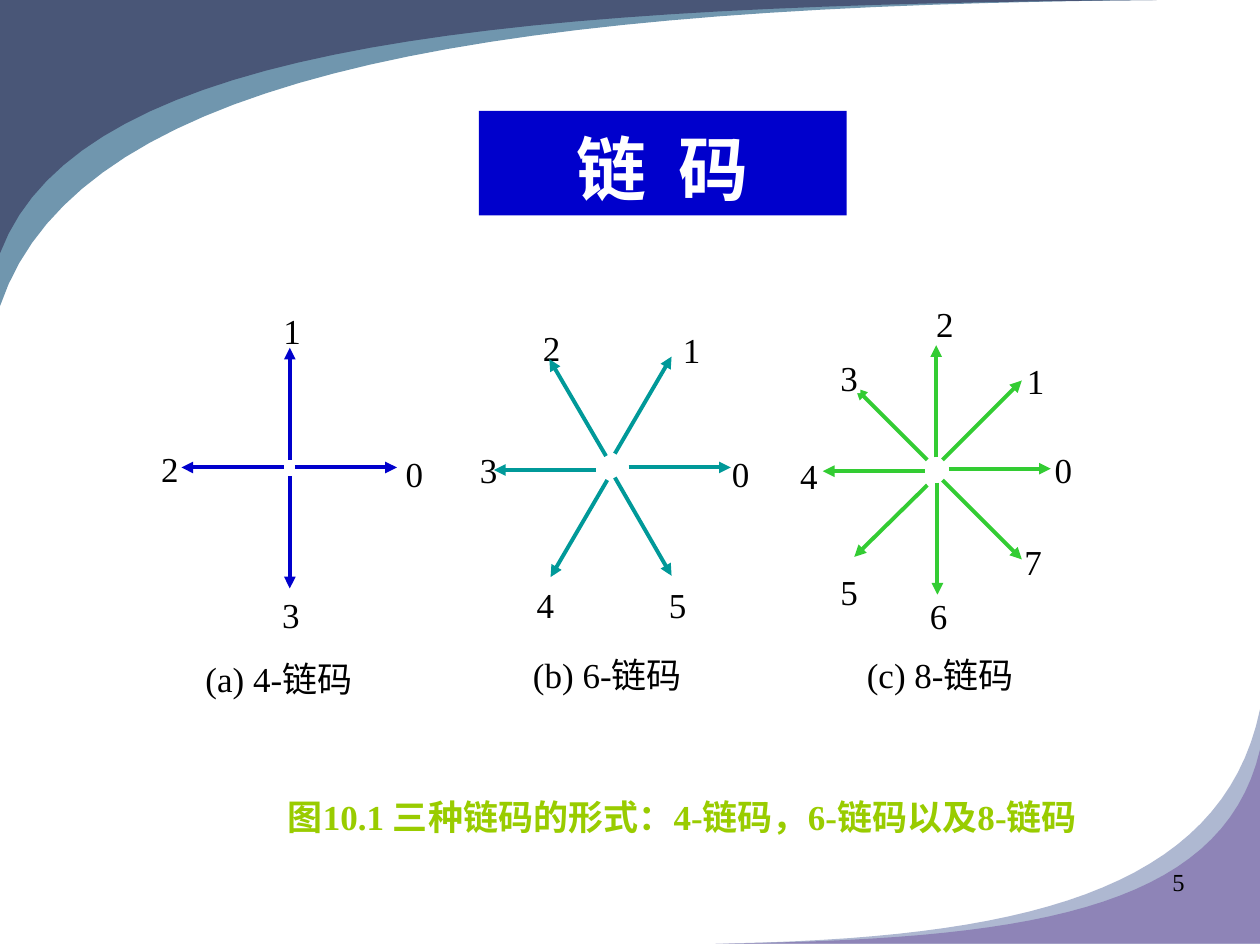
"""Build the chain code slide with its 4-, 6- and 8-direction diagrams."""
from lxml import etree
from pptx import Presentation
from pptx.dml.color import RGBColor
from pptx.enum.shapes import MSO_CONNECTOR, MSO_SHAPE
from pptx.enum.text import MSO_ANCHOR, PP_ALIGN
from pptx.oxml.ns import qn
from pptx.util import Inches, Pt

RECTANGLE = MSO_SHAPE.RECTANGLE
STRAIGHT = MSO_CONNECTOR.STRAIGHT
TOP, BOTTOM = MSO_ANCHOR.TOP, MSO_ANCHOR.BOTTOM
CENTER, RIGHT, JUSTIFY = PP_ALIGN.CENTER, PP_ALIGN.RIGHT, PP_ALIGN.JUSTIFY

THEME = {
    "heading_font": "Karla", "body_font": "Times New Roman",
    "title_size": 40, "body_size": 20, "number_size": 14, "arrow_width": 2.25,
    "title_fill": "0000CC", "white": "FFFFFF", "black": "000000", "caption": "99CC00",
    "four": "0000CC", "six": "009999", "eight": "33CC33",
    "top_outer": "7096AE", "top_inner": "495677",
    "bottom_outer": "AEB8D1", "bottom_inner": "8E84B7",
}

TITLE = ("链  码", (3.8, 0.88, 2.92, 0.83))
FIGURE_CAPTION = ("图10.1 三种链码的形式：4-链码，6-链码以及8-链码", (2.02, 6.31, 6.79, 0.33))
PAGE_NUMBER = ("5", (7.17, 6.83, 2.33, 0.52))
DIGIT_SIZE = (0.16, 0.29)

# Each direction: digit position, arrow start, arrow end, in code order.
DIAGRAMS = [
    {"caption": "(a) 4-链码", "caption_box": (1.63, 5.22, 1.29, 0.33),
     "color": "four", "digits_on_top": False, "directions": [
         ((3.22, 3.59), (2.34, 3.71), (3.15, 3.71)),
         ((2.25, 2.46), (2.3, 3.65), (2.3, 2.76)),
         ((1.28, 3.55), (2.25, 3.71), (1.44, 3.71)),
         ((2.24, 4.71), (2.3, 3.78), (2.3, 4.67))]},
    {"caption": "(b) 6-链码", "caption_box": (4.23, 5.19, 1.44, 0.31),
     "color": "six", "digits_on_top": False, "directions": [
         ((5.81, 3.59), (4.99, 3.71), (5.8, 3.71)),
         ((5.42, 2.61), (4.88, 3.6), (5.33, 2.83)),
         ((4.31, 2.59), (4.81, 3.62), (4.36, 2.85)),
         ((3.81, 3.56), (4.73, 3.73), (3.92, 3.73)),
         ((4.26, 4.63), (4.82, 3.81), (4.37, 4.58)),
         ((5.31, 4.63), (4.88, 3.79), (5.33, 4.57))]},
    {"caption": "(c) 8-链码", "caption_box": (6.88, 5.19, 1.46, 0.42),
     "color": "eight", "digits_on_top": True, "directions": [
         ((8.37, 3.56), (7.53, 3.72), (8.34, 3.72)),
         ((8.15, 2.85), (7.48, 3.65), (8.11, 3.02)),
         ((7.43, 2.4), (7.43, 3.63), (7.43, 2.74)),
         ((6.67, 2.83), (7.36, 3.65), (6.79, 3.08)),
         ((6.35, 3.61), (7.34, 3.74), (6.53, 3.74)),
         ((6.67, 4.53), (7.36, 3.85), (6.78, 4.42)),
         ((7.38, 4.72), (7.44, 3.83), (7.44, 4.72)),
         ((8.13, 4.29), (7.48, 3.81), (8.11, 4.44))]},
]

OUTER_BEND = ((0, 1), (0.07, 0.21), (0.45, 0.02), (1, 0))
INNER_BEND = ((0, 1), (0.07, 0.15), (0.45, 0.02), (1, 0))
CORNERS = [
    ((0, 0), (9.18, 2.43), OUTER_BEND, "top_outer"),
    ((0, 0), (9.18, 2.01), INNER_BEND, "top_inner"),
    ((10, 7.49), (-4.32, -1.86), OUTER_BEND, "bottom_outer"),
    ((10, 7.49), (-4.32, -1.54), INNER_BEND, "bottom_inner"),
]
CURVE_STEPS = 32


def color(key):
    return RGBColor.from_string(THEME[key])


def inches(values):
    return [Inches(value) for value in values]


def paint(shape, fill):
    shape.shadow.inherit = False
    shape.fill.solid()
    shape.fill.fore_color.rgb = color(fill)
    shape.line.fill.background()


def write(shape, text, align, size="body_size", ink="black", font="body_font",
          bold=False, margins=(0, 0), anchor=TOP):
    frame = shape.text_frame
    frame.word_wrap = True
    frame.vertical_anchor = anchor
    frame.margin_left = frame.margin_right = Inches(margins[0])
    frame.margin_top = frame.margin_bottom = Inches(margins[1])
    paragraph = frame.paragraphs[0]
    paragraph.alignment = align
    run = paragraph.add_run()
    run.text = text
    run.font.name = THEME[font]
    run.font.size = Pt(THEME[size])
    run.font.bold = bold
    run.font.color.rgb = color(ink)


def add_label(slide, text, box, align=JUSTIFY, **style):
    label = slide.shapes.add_shape(RECTANGLE, *inches(box))
    paint(label, "white")
    write(label, text, align, **style)


def add_arrow(slide, start, end, ink):
    arrow = slide.shapes.add_connector(STRAIGHT, *inches(start + end))
    arrow.line.color.rgb = color(ink)
    arrow.line.width = Pt(THEME["arrow_width"])
    etree.SubElement(arrow.line._get_or_add_ln(), qn("a:tailEnd"), type="triangle")
    etree.SubElement(arrow._element.spPr, qn("a:effectLst"))


def bezier(points, t):
    weights = ((1 - t) ** 3, 3 * t * (1 - t) ** 2, 3 * t ** 2 * (1 - t), t ** 3)
    return [sum(w * p[axis] for w, p in zip(weights, points)) for axis in (0, 1)]


def add_corner(slide, corner, reach, bend, fill):
    curve = [bezier(bend, step / CURVE_STEPS) for step in range(CURVE_STEPS + 1)]
    outline = [inches(c + r * v for c, r, v in zip(corner, reach, point))
               for point in curve + [[0, 0]]]
    builder = slide.shapes.build_freeform(*outline[0])
    builder.add_line_segments(outline[1:], close=True)
    paint(builder.convert_to_shape(), fill)


def add_diagram(slide, diagram):
    def draw_digits():
        for code, (place, _, _) in enumerate(diagram["directions"]):
            add_label(slide, str(code), place + DIGIT_SIZE)

    def draw_arrows():
        for _, start, end in diagram["directions"]:
            add_arrow(slide, start, end, diagram["color"])

    layers = [draw_digits, draw_arrows]
    for draw in reversed(layers) if diagram["digits_on_top"] else layers:
        draw()
    add_label(slide, diagram["caption"], diagram["caption_box"])


def main():
    deck = Presentation()
    deck.slide_width, deck.slide_height = Inches(10), Inches(7.5)
    slide = deck.slides.add_slide(deck.slide_layouts[5])
    for corner in CORNERS:
        add_corner(slide, *corner)

    text, box = TITLE
    title = slide.shapes.title
    title.left, title.top, title.width, title.height = inches(box)
    title.fill.solid()
    title.fill.fore_color.rgb = color("title_fill")
    write(title, text, CENTER, size="title_size", ink="white", font="heading_font",
          bold=True, margins=(0.1, 0.05), anchor=BOTTOM)

    for diagram in DIAGRAMS:
        add_diagram(slide, diagram)
    add_label(slide, *FIGURE_CAPTION, align=CENTER, ink="caption", bold=True)

    text, box = PAGE_NUMBER
    write(slide.shapes.add_textbox(*inches(box)), text, RIGHT,
          size="number_size", margins=(0.1, 0.05))
    deck.save("out.pptx")


if __name__ == "__main__":
    main()
